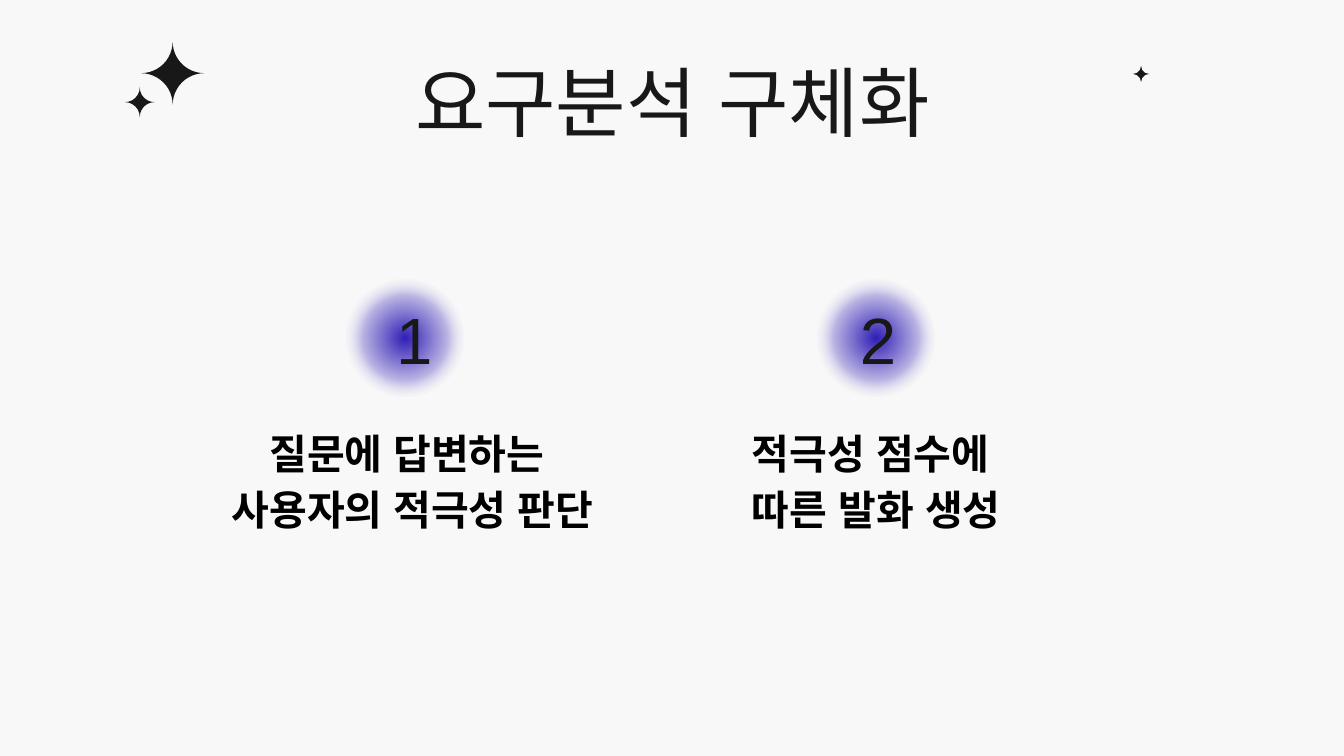
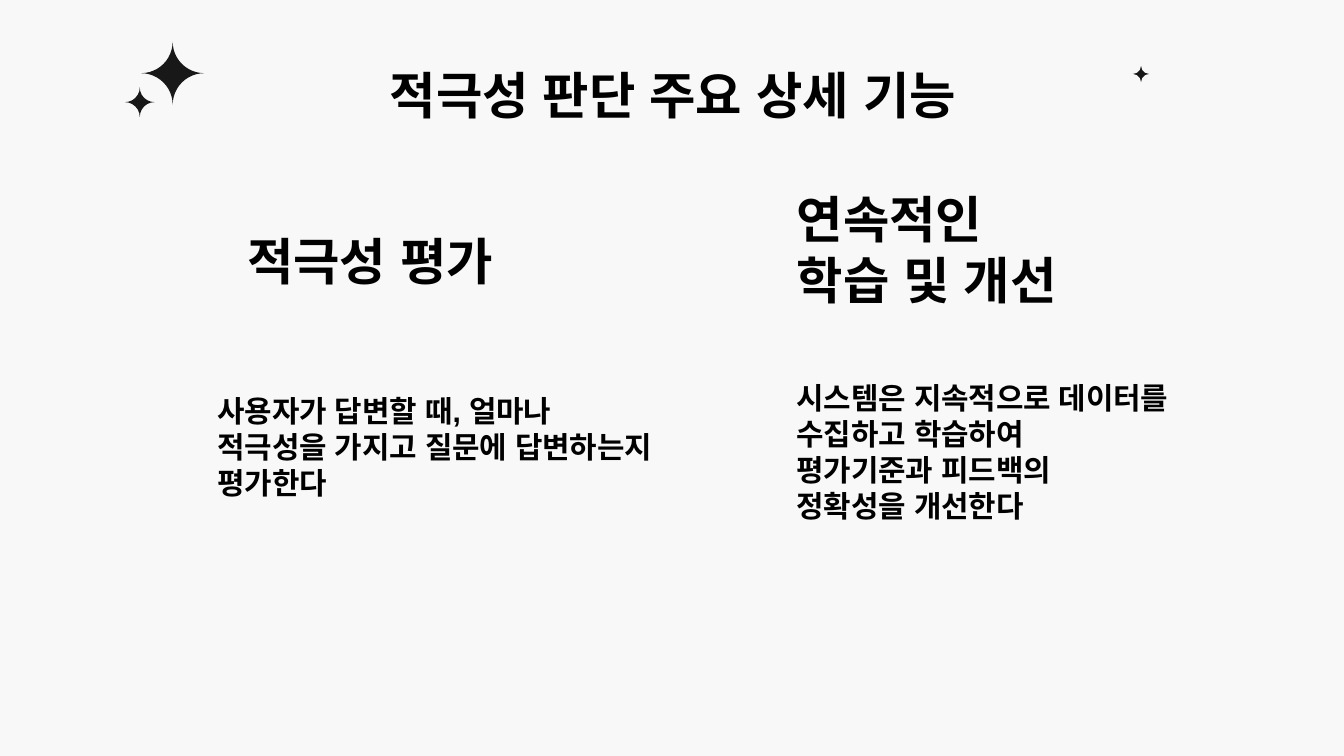
from lxml.etree import SubElement
from pptx import Presentation
from pptx.dml.color import RGBColor
from pptx.enum.shapes import MSO_SHAPE as Shape
from pptx.enum.text import MSO_ANCHOR as Anchor, MSO_AUTO_SIZE as AutoSize, PP_ALIGN as Align
from pptx.oxml import parse_xml
from pptx.oxml.ns import nsdecls, qn
from pptx.util import Inches, Pt

FONT = "Arial"
BACKGROUND, INK, BLACK, GLOW = "F8F8F8", "181818", "000000", "3120B6"
STARS = [(0.93, 0.65, 0.22), (1.05, 0.31, 0.47), (8.43, 0.49, 0.12)]
GLOW_STOPS = [(0, GLOW, 100), (51, GLOW, 31), (76, BACKGROUND, 0), (100, BACKGROUND, 0)]

color = RGBColor.from_string


def write(shape, lines, size=16, ink=BLACK, bold=True, align=Align.LEFT,
          anchor=Anchor.TOP, spacing=1.0, indent=0, bottom=0.1):
    frame = shape.text_frame
    frame.word_wrap = True
    frame.auto_size = AutoSize.NONE
    frame.vertical_anchor = anchor
    frame.margin_left = frame.margin_top = frame.margin_right = Inches(0.1)
    frame.margin_bottom = Inches(bottom)
    for index, line in enumerate(lines):
        paragraph = frame.add_paragraph() if index else frame.paragraphs[0]
        paragraph.alignment = align
        paragraph.line_spacing = spacing
        properties = paragraph._p.get_or_add_pPr()
        properties.set("marL", str(Inches(indent)))
        properties.set("indent", "0")
        run = paragraph.add_run()
        run.text = line
        run.font.size = Pt(size)
        run.font.bold = bold
        run.font.name = FONT
        run.font.color.rgb = color(ink)
        run_properties = run._r.get_or_add_rPr()
        run_properties.set("kern", "0")
        SubElement(run_properties, qn("a:ea"), typeface=FONT)


def add_text(slide, left, top, width, height, lines, **style):
    box = slide.shapes.add_textbox(Inches(left), Inches(top), Inches(width), Inches(height))
    write(box, lines, **style)


presentation = Presentation()
presentation.slide_width = Inches(10)
presentation.slide_height = Inches(10) * 9 // 16
background = presentation.slide_master.background.fill
background.solid()
background.fore_color.rgb = color(BACKGROUND)

titles = [
    ("요구분석 구체화", dict(size=41, ink=INK, bold=False)),
    ("적극성 판단 주요 상세 기능", dict(size=27, spacing=1.15)),
]
slides = []
for title_text, title_style in titles:
    slide = presentation.slides.add_slide(presentation.slide_layouts[5])
    for left, top, size in STARS:
        star = slide.shapes.add_shape(
            Shape.PLAQUE, Inches(left), Inches(top), Inches(size), Inches(size))
        star.adjustments[0] = 0.5
        star.shadow.inherit = False
        star.fill.solid()
        star.fill.fore_color.rgb = color(INK)
        star.line.fill.background()
    title = slide.shapes.title
    title.left, title.top = Inches(0.79), Inches(0.31)
    title.width, title.height = Inches(8.43), Inches(0.63)
    write(title, [title_text], align=Align.CENTER, **title_style)
    slides.append(slide)

requirements_slide, features_slide = slides

requirements = [
    ("1", 2.58, 2.85, (1.05, 3.03, 4.04, 1.39), ["질문에 답변하는 ", "사용자의 적극성 판단"]),
    ("2", 6.08, 6.3, (5.09, 3.03, 2.86, 1), ["적극성 점수에 ", "따른 발화 생성"]),
]
stops = "".join(
    f'<a:gs pos="{position * 1000}"><a:srgbClr val="{tone}">'
    f'<a:alpha val="{opacity * 1000}"/></a:srgbClr></a:gs>'
    for position, tone, opacity in GLOW_STOPS)
for number, glow_left, number_left, box, lines in requirements:
    add_text(requirements_slide, *box, lines, size=22, align=Align.CENTER, spacing=1.15)
    glow = requirements_slide.shapes.add_shape(
        Shape.OVAL, Inches(glow_left), Inches(2.08), Inches(0.87), Inches(0.87))
    glow.shadow.inherit = False
    glow.line.fill.background()
    glow.fill.background()
    gradient = parse_xml(
        f'<a:gradFill {nsdecls("a")} rotWithShape="1"><a:gsLst>{stops}</a:gsLst>'
        '<a:path path="circle"><a:fillToRect l="50000" t="50000" r="50000" b="50000"/></a:path>'
        '</a:gradFill>')
    properties = glow._element.spPr
    properties.replace(properties.find(qn("a:noFill")), gradient)
    add_text(requirements_slide, number_left, 2.12, 0.8, 0.8, [number],
             size=35, ink=INK, bold=False, anchor=Anchor.MIDDLE)

features = [
    ((1.24, 1.61, 4.04, 0.66), ["적극성 평가"],
     (1.02, 2.68, 3.95, 1.52), 0.33,
     ["사용자가 답변할 때, 얼마나 적극성을 가지고 질문에 답변하는지 평가한다"]),
    ((5.33, 1.3, 3.1, 1.11), ["연속적인", "학습 및 개선"],
     (5.33, 2.41, 5.33, 2.16), 0.36,
     ["시스템은 지속적으로 데이터를", "수집하고 학습하여", "평가기준과 피드백의", "정확성을 개선한다"]),
]
for heading_box, heading, detail_box, bottom, detail in features:
    add_text(features_slide, *heading_box, heading, size=27, indent=0.5)
    add_text(features_slide, *detail_box, detail, indent=0.5, anchor=Anchor.MIDDLE, bottom=bottom)

presentation.save("out.pptx")
